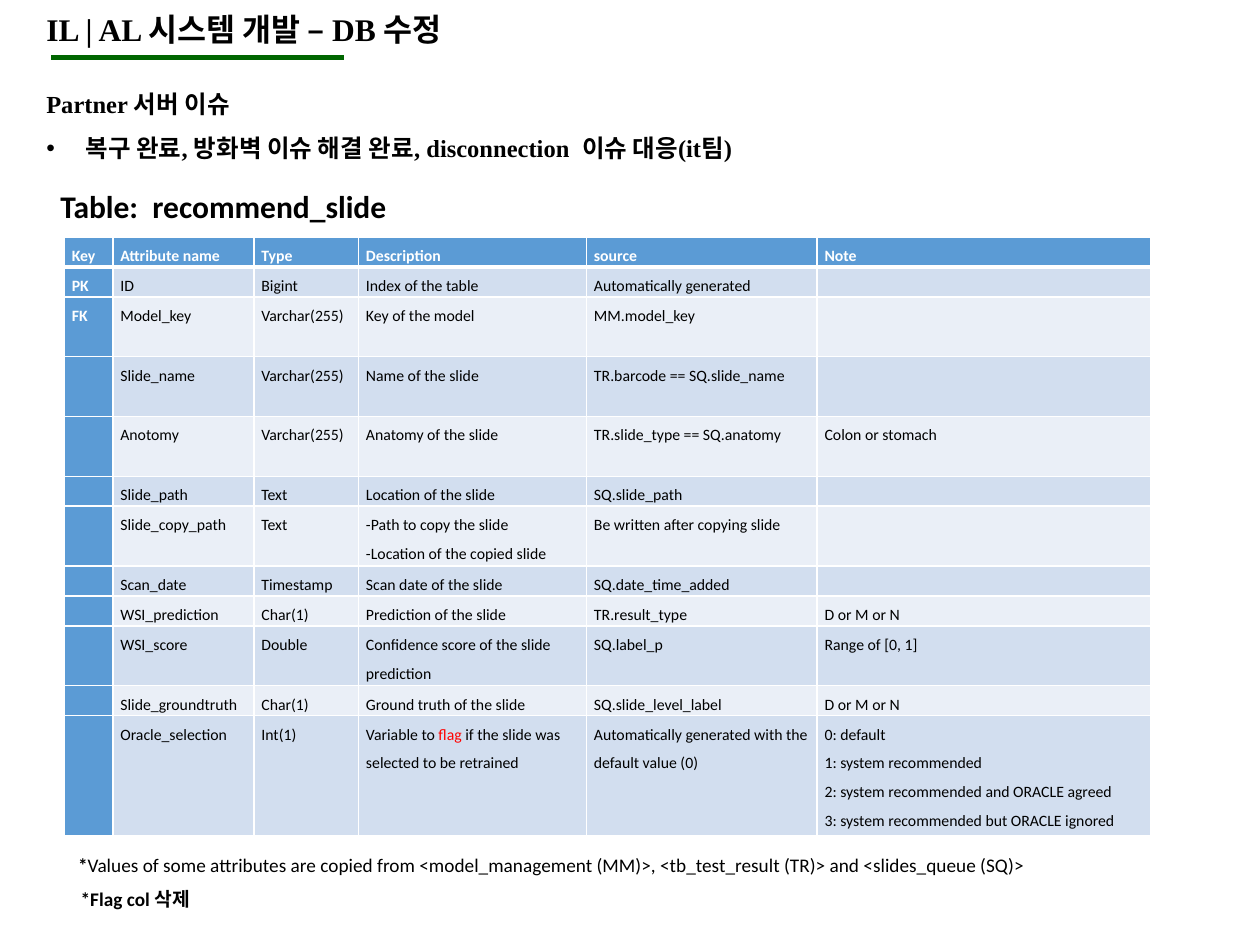
from lxml.etree import SubElement
from pptx import Presentation
from pptx.dml.color import RGBColor
from pptx.enum.shapes import MSO_CONNECTOR
from pptx.enum.text import MSO_AUTO_SIZE as AutoSize
from pptx.oxml import parse_xml
from pptx.oxml.ns import nsdecls, qn
from pptx.util import Pt

COLORS = {
    "text": "000000",
    "white": "FFFFFF",
    "rule": "006600",
    "header": "5B9BD5",
    "band_dark": "D2DEEF",
    "band_light": "EAEFF7",
    "flag": "FF0000",
}
SANS, SERIF = "Calibri", "Times New Roman"

# Table layout: each row is a whole number of text lines high
LINE_HEIGHT = 17.1
COL_WIDTHS = [27.7, 80.6, 59.8, 130.3, 131.8, 190.4]
ROW_LINES = [1, 1, 2, 2, 2, 1, 2, 1, 1, 2, 1, 4]

# "\v" breaks a line, "\n" starts a paragraph
ROWS = [
    ["Key", "Attribute name", "Type", "Description", "source", "Note"],
    ["PK", "ID", "Bigint", "Index of the table", "Automatically generated", ""],
    ["FK", "Model_key", "Varchar(255)", "Key of the model", "MM.model_key", ""],
    ["", "Slide_name", "Varchar(255)", "Name of the slide",
     "TR.barcode == SQ.slide_name", ""],
    ["", "Anotomy", "Varchar(255)", "Anatomy of the slide",
     "TR.slide_type == SQ.anatomy", "Colon or stomach"],
    ["", "Slide_path", "Text", "Location of the slide", "SQ.slide_path", ""],
    ["", "Slide_copy_path", "Text",
     "-Path to copy the slide\v-Location of the copied slide",
     "Be written after copying slide", ""],
    ["", "Scan_date", "Timestamp", "Scan date of the slide",
     "SQ.date_time_added", ""],
    ["", "WSI_prediction", "Char(1)", "Prediction of the slide",
     "TR.result_type", "D or M or N"],
    ["", "WSI_score", "Double", "Confidence score of the slide prediction",
     "SQ.label_p", "Range of [0, 1]"],
    ["", "Slide_groundtruth", "Char(1)", "Ground truth of the slide",
     "SQ.slide_level_label", "D or M or N"],
    ["", "Oracle_selection", "Int(1)", "Variable to",
     "Automatically generated with the default value (0)",
     "0: default\n1: system recommended\n"
     "2: system recommended and ORACLE agreed\n"
     "3: system recommended but ORACLE ignored"],
]


def rgb(name):
    return RGBColor.from_string(COLORS[name])


def style_run(r, size, font=SANS, color="text", bold=False):
    r.font.size = Pt(size)
    r.font.name = font
    r.font.bold = bold
    r.font.color.rgb = rgb(color)


def style_text(tf, size, spacing=None, **style):
    for p in tf.paragraphs:
        if spacing:
            p.line_spacing = spacing
        for r in p.runs:
            style_run(r, size, **style)


def add_text(s, box, text, size, wrap=True, **style):
    tf = s.shapes.add_textbox(*map(Pt, box)).text_frame
    tf.word_wrap = wrap
    tf.auto_size = AutoSize.SHAPE_TO_FIT_TEXT
    tf.text = text
    style_text(tf, size, **style)
    return tf


def add_bullet(p, indent):
    pPr = p._p.get_or_add_pPr()
    pPr.set("marL", str(Pt(indent)))
    pPr.set("indent", str(Pt(-indent)))
    SubElement(pPr, qn("a:buFont"), typeface="Arial")
    SubElement(pPr, qn("a:buChar"), char="•")


def add_rule(s, x1, x2, y):
    line = s.shapes.add_connector(
        MSO_CONNECTOR.STRAIGHT, Pt(x1), Pt(y), Pt(x2), Pt(y))
    line.line.color.rgb = rgb("rule")
    line.line.width = Pt(3)
    SubElement(line._element.spPr, qn("a:effectLst"))


def set_borders(cell, top, bottom):
    tcPr = cell._tc.get_or_add_tcPr()
    widths = {"lnL": 1, "lnR": 1, "lnT": top, "lnB": bottom}
    for i, (side, width) in enumerate(widths.items()):
        tcPr.insert(i, parse_xml(
            f'<a:{side} {nsdecls("a")} w="{Pt(width)}"><a:solidFill>'
            f'<a:srgbClr val="{COLORS["white"]}"/></a:solidFill></a:{side}>'))


def fill_cell(cell, text, row, col):
    heading = row == 0 or col == 0
    band = "band_dark" if row % 2 else "band_light"
    cell.margin_left = cell.margin_right = Pt(4.3)
    cell.margin_top = cell.margin_bottom = 0
    cell.fill.solid()
    cell.fill.fore_color.rgb = rgb("header" if heading else band)
    set_borders(cell, 3 if row == 1 else 1, 3 if row == 0 else 1)
    tf = cell.text_frame
    tf.text = text
    style_text(tf, 9, spacing=1.5, bold=heading,
               color="white" if heading else "text")
    if not text:  # keeps empty cells from growing their row
        SubElement(tf.paragraphs[0]._p, qn("a:endParaRPr"), sz="900")


def add_schema_table(s, left, top):
    table = s.shapes.add_table(
        len(ROWS), len(COL_WIDTHS), Pt(left), Pt(top), Pt(sum(COL_WIDTHS)),
        Pt(LINE_HEIGHT * sum(ROW_LINES))).table
    for column, width in zip(table.columns, COL_WIDTHS):
        column.width = Pt(width)
    for i, (values, lines) in enumerate(zip(ROWS, ROW_LINES)):
        table.rows[i].height = Pt(LINE_HEIGHT * lines)
        for j, text in enumerate(values):
            fill_cell(table.cell(i, j), text, i, j)
    return table


def add_run(p, text, size, **style):
    r = p.add_run()
    r.text = text
    style_run(r, size, **style)


def main():
    prs = Presentation()
    prs.slide_width, prs.slide_height = Pt(720), Pt(540)
    s = prs.slides.add_slide(prs.slide_layouts[6])

    # Schema table, with the flag word in red
    table = add_schema_table(s, 36.8, 135.4)
    p = table.cell(len(ROWS) - 1, 3).text_frame.paragraphs[0]
    add_run(p, " flag ", 9, color="flag")
    add_run(p, "if the slide was selected to be retrained", 9)

    # Footnotes
    tf = add_text(s, (37.5, 477.2, 618.5, 25.5), "*", 11, spacing=1.5, bold=True)
    add_run(tf.paragraphs[0],
            "Values of some attributes are copied from <model_management (MM)>, "
            "<tb_test_result (TR)> and <slides_queue (SQ)>", 11)
    add_text(s, (39, 497, 618.5, 25.5), "*Flag col 삭제", 11,
             spacing=1.5, bold=True)

    # Table caption
    add_text(s, (27.4, 103.4, 206.6, 29), "Table:  recommend_slide", 18,
             wrap=False, bold=True)

    # Title and its rule
    add_rule(s, 29.3, 196.5, 32.7)
    add_text(s, (19.4, 2.2, 501, 29), "IL | AL 시스템 개발 – DB 수정", 18,
             font=SERIF, bold=True)

    # Server issue
    tf = add_text(s, (19.4, 39, 607.7, 55.4),
                  "Partner 서버 이슈\n"
                  "복구 완료, 방화벽 이슈 해결 완료, disconnection  이슈 대응(it팀)",
                  14, spacing=1.5, font=SERIF, bold=True)
    add_bullet(tf.paragraphs[1], 22.5)

    prs.save("out.pptx")


if __name__ == "__main__":
    main()
